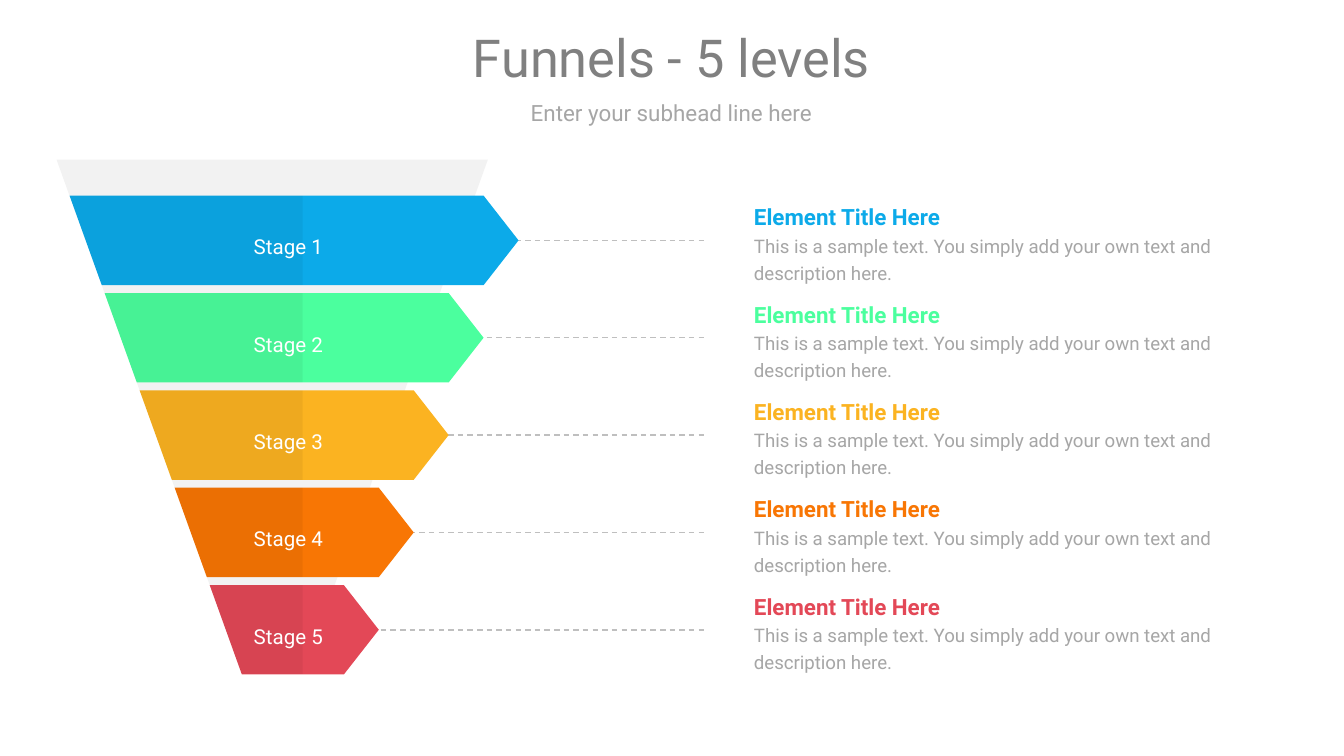
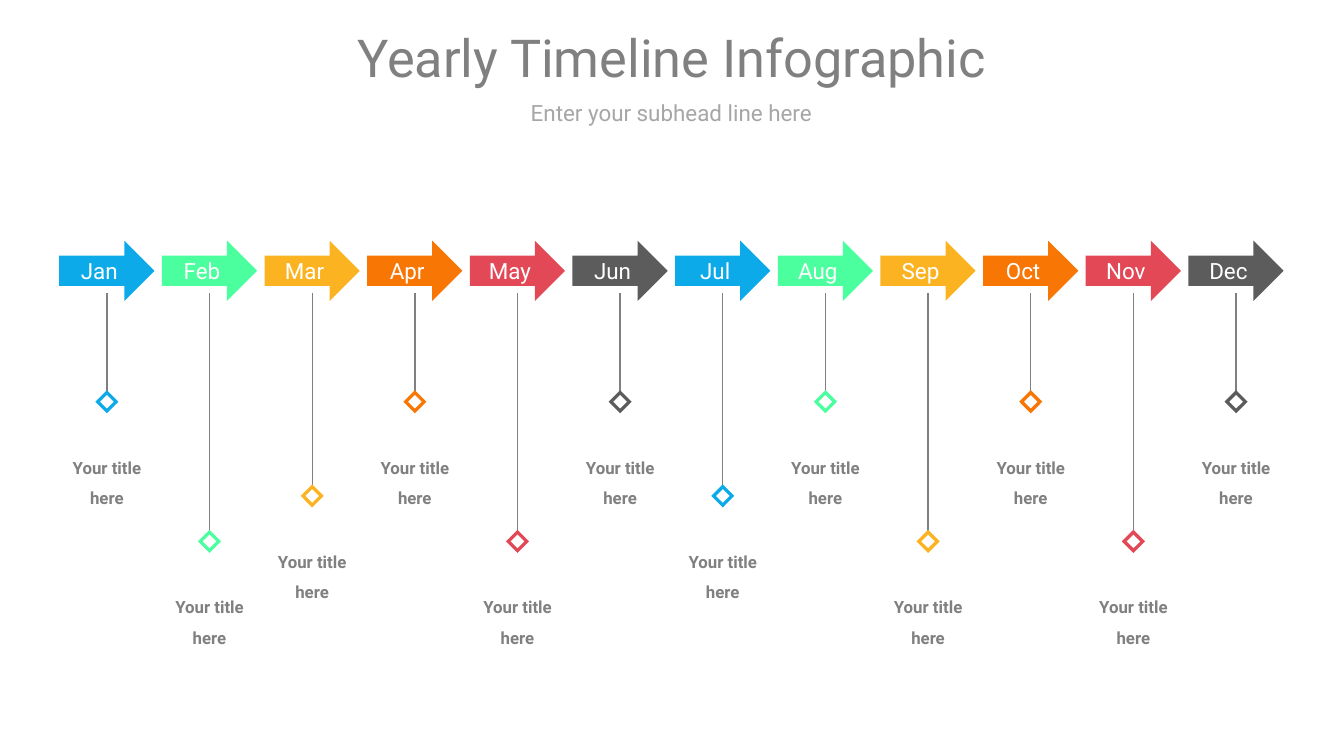
from dataclasses import dataclass

from lxml.etree import SubElement
from pptx import Presentation
from pptx.dml.color import RGBColor
from pptx.enum.dml import MSO_LINE
from pptx.enum.shapes import MSO_CONNECTOR, MSO_SHAPE
from pptx.enum.text import MSO_ANCHOR, MSO_AUTO_SIZE, PP_ALIGN
from pptx.oxml.ns import qn
from pptx.util import Cm, Pt


@dataclass(frozen=True)
class Theme:
    font: str = "Roboto"
    accents: tuple = ("0CAAE9", "4BFF9E", "FBB321", "F87604", "E34857", "5C5C5C")
    white: str = "FFFFFF"
    black: str = "000000"
    pale: str = "F2F2F2"
    rule: str = "BFBFBF"
    light: str = "A6A6A6"
    gray: str = "808080"
    title_size: int = 28
    heading_size: int = 12
    stage_size: int = 11
    body_size: int = 10
    caption_size: int = 9


THEME = Theme()

# Shared frame, in centimetres
MARGIN, CONTENT_WIDTH = 1.07, 23.24

# Funnel geometry
FUNNEL_TOP, FUNNEL_BOTTOM = 3.02, 12.74
FUNNEL_LEFT, FUNNEL_RIGHT, FUNNEL_AXIS = 1.07, 9.22, 5.72
FUNNEL_SLOPE = 0.36
BAND_TOP, BAND_HEIGHT, BAND_PITCH = 3.7, 1.69, 1.84
TIP_RIGHT, TIP_DEPTH = 9.8, 0.66

# Timeline geometry
ARROW_LEFT, ARROW_TOP, ARROW_WIDTH, ARROW_HEIGHT = 1.12, 4.55, 1.8, 1.14
MONTH_PITCH = 1.94
STEM_TOP = 5.54
SHORT, MEDIUM, LONG = 7.44, 9.22, 10.08
MARKER_SIZE, MARKER_HOLE = 0.31, 0.18
MONTHS = (
    ("Jan", SHORT), ("Feb", LONG), ("Mar", MEDIUM), ("Apr", SHORT),
    ("May", LONG), ("Jun", SHORT), ("Jul", MEDIUM), ("Aug", SHORT),
    ("Sep", LONG), ("Oct", SHORT), ("Nov", LONG), ("Dec", SHORT),
)


def box(left, top, width, height):
    return Cm(left), Cm(top), Cm(width), Cm(height)


def style_paragraph(paragraph, size, color, bold=False, align=PP_ALIGN.CENTER,
                    spacing=None):
    paragraph.alignment = align
    if spacing:
        paragraph.line_spacing = spacing
    font = paragraph.font
    font.name, font.size, font.bold = THEME.font, Pt(size), bold
    font.color.rgb = RGBColor.from_string(color)


def prepare_frame(frame, auto_size=MSO_AUTO_SIZE.NONE):
    frame.margin_left = frame.margin_right = 0
    frame.margin_top = frame.margin_bottom = 0
    frame.vertical_anchor = MSO_ANCHOR.MIDDLE
    frame.word_wrap = True
    frame.auto_size = auto_size


def add_text(slide, area, lines, auto_size=MSO_AUTO_SIZE.SHAPE_TO_FIT_TEXT):
    """Each line is its text and a dict of paragraph styles."""
    frame = slide.shapes.add_textbox(*box(*area)).text_frame
    prepare_frame(frame, auto_size)
    for index, (text, style) in enumerate(lines):
        paragraph = frame.add_paragraph() if index else frame.paragraphs[0]
        paragraph.text = text
        style_paragraph(paragraph, **style)


def paint(shape, color):
    shape.shadow.inherit = False
    shape.fill.solid()
    shape.fill.fore_color.rgb = RGBColor.from_string(color)
    shape.line.fill.background()
    return shape


def add_line(slide, start, end, color, dash=None):
    points = [Cm(value) for value in (*start, *end)]
    connector = slide.shapes.add_connector(MSO_CONNECTOR.STRAIGHT, *points)
    connector.line.color.rgb = RGBColor.from_string(color)
    connector.line.width = Pt(0.75)
    if dash:
        connector.line.dash_style = dash
    SubElement(connector._element.spPr, qn("a:effectLst"))


def add_polygon(slide, points, color):
    corners = [(Cm(x), Cm(y)) for x, y in points]
    builder = slide.shapes.build_freeform(*corners[0])
    builder.add_line_segments(corners[1:], close=True)
    return paint(builder.convert_to_shape(), color)


def set_opacity(shape, percent):
    color = shape._element.spPr.find(qn("a:solidFill")).find(qn("a:srgbClr"))
    SubElement(color, qn("a:alpha"), val=str(percent * 1000))


def add_titled_slide(presentation, title_text):
    slide = presentation.slides.add_slide(presentation.slide_layouts[5])
    title = slide.shapes.title
    title.left, title.top, title.width, title.height = box(
        MARGIN, 0.38, CONTENT_WIDTH, 1.37)
    title.text = title_text
    prepare_frame(title.text_frame)
    style_paragraph(title.text_frame.paragraphs[0], THEME.title_size, THEME.gray)
    subhead_style = dict(size=THEME.heading_size, color=THEME.light)
    add_text(slide, (MARGIN, 1.88, CONTENT_WIDTH, 0.48),
             [("Enter your subhead line here", subhead_style)],
             MSO_AUTO_SIZE.NONE)
    return slide


def funnel_left(y):
    return FUNNEL_LEFT + (y - FUNNEL_TOP) * FUNNEL_SLOPE


def add_band(slide, level, color):
    top = BAND_TOP + level * BAND_PITCH
    bottom = top + BAND_HEIGHT
    tip = TIP_RIGHT - level * TIP_DEPTH
    shoulder = tip - TIP_DEPTH
    add_polygon(slide, [
        (funnel_left(top), top), (shoulder, top),
        (tip, top + BAND_HEIGHT / 2),
        (shoulder, bottom), (funnel_left(bottom), bottom),
    ], color)


def add_description(slide, level, color):
    shared = dict(align=PP_ALIGN.LEFT, spacing=1.2)
    add_text(slide, (14.25, 3.73 + level * BAND_PITCH, 10.06, 1.65), [
        ("Element Title Here",
         dict(size=THEME.heading_size, color=color, bold=True, **shared)),
        ("This is a sample text. You simply add your own text and description here.",
         dict(size=THEME.body_size, color=THEME.light, **shared)),
    ])


def build_funnel(presentation):
    slide = add_titled_slide(presentation, "Funnels - 5 levels")
    levels = list(enumerate(THEME.accents[:5]))
    centers = [BAND_TOP + BAND_HEIGHT / 2 + level * BAND_PITCH for level, _ in levels]

    # Leader lines and descriptions
    for center in centers:
        add_line(slide, (6.65, center), (13.31, center), THEME.rule, MSO_LINE.DASH)
    for level, color in levels:
        add_description(slide, level, color)

    # Right half of the cone, colour bands, shade over the left half
    add_polygon(slide, [(FUNNEL_AXIS, FUNNEL_TOP), (FUNNEL_RIGHT, FUNNEL_TOP),
                        (FUNNEL_AXIS, FUNNEL_BOTTOM)], THEME.pale)
    for level, color in levels:
        add_band(slide, level, color)
    shade = add_polygon(slide, [
        (FUNNEL_AXIS, FUNNEL_TOP), (FUNNEL_LEFT, FUNNEL_TOP),
        (funnel_left(FUNNEL_BOTTOM), FUNNEL_BOTTOM), (FUNNEL_AXIS, FUNNEL_BOTTOM),
    ], THEME.black)
    set_opacity(shade, 5)

    # Stage labels
    style = dict(size=THEME.stage_size, color=THEME.white, spacing=1.5)
    for number, center in enumerate(centers, start=1):
        add_text(slide, (4.27, center - 0.35, 2.36, 0.7),
                 [(f"Stage {number}", style)])


def add_month_arrow(slide, left, month, color):
    arrow = paint(slide.shapes.add_shape(
        MSO_SHAPE.RIGHT_ARROW, *box(left, ARROW_TOP, ARROW_WIDTH, ARROW_HEIGHT)), color)
    frame = arrow.text_frame
    frame.text = month
    frame.vertical_anchor = MSO_ANCHOR.MIDDLE
    style_paragraph(frame.paragraphs[0], THEME.heading_size, THEME.white)


def add_marker(slide, center, top, color):
    group = slide.shapes.add_group_shape()
    middle = top + MARKER_SIZE / 2
    for size, fill in ((MARKER_SIZE, color), (MARKER_HOLE, THEME.white)):
        square = group.shapes.add_shape(
            MSO_SHAPE.RECTANGLE, *box(center - size / 2, middle - size / 2, size, size))
        paint(square, fill).rotation = 45


def build_timeline(presentation):
    slide = add_titled_slide(presentation, "Yearly Timeline Infographic")
    caption_style = dict(size=THEME.caption_size, color=THEME.gray, bold=True,
                         spacing=1.5)
    for index, (month, stem_end) in enumerate(MONTHS):
        color = THEME.accents[index % len(THEME.accents)]
        left = ARROW_LEFT + index * MONTH_PITCH
        center = left + ARROW_WIDTH / 2
        add_line(slide, (center, stem_end), (center, STEM_TOP), THEME.gray)
        add_month_arrow(slide, left, month, color)
        add_text(slide, (center - 0.99, stem_end + 1.02, 1.98, 1.14),
                 [("Your title here", caption_style)])
        add_marker(slide, center, stem_end, color)


def main():
    presentation = Presentation()
    presentation.slide_width, presentation.slide_height = Cm(25.4), Cm(14.29)
    build_funnel(presentation)
    build_timeline(presentation)
    presentation.save("out.pptx")


if __name__ == "__main__":
    main()
